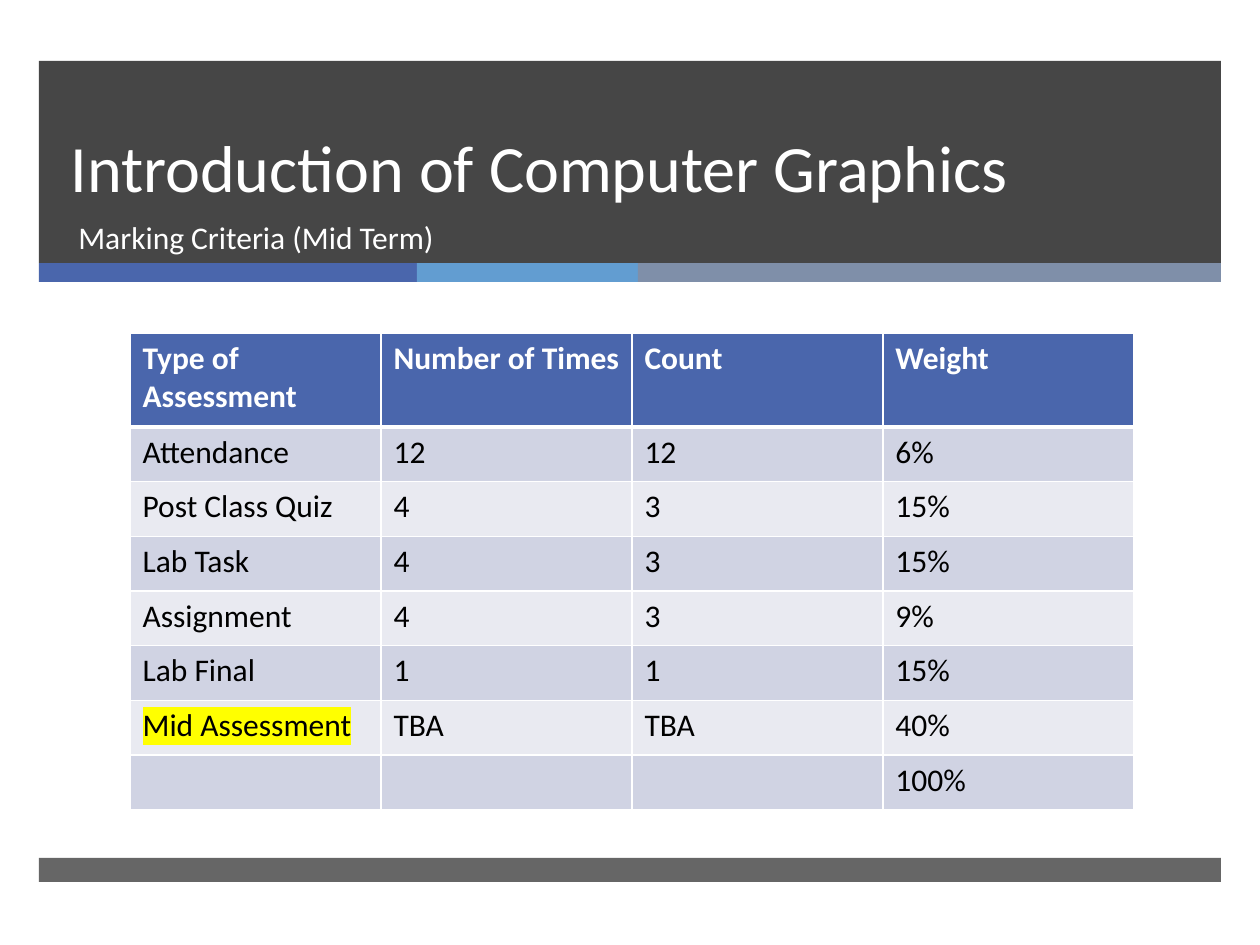
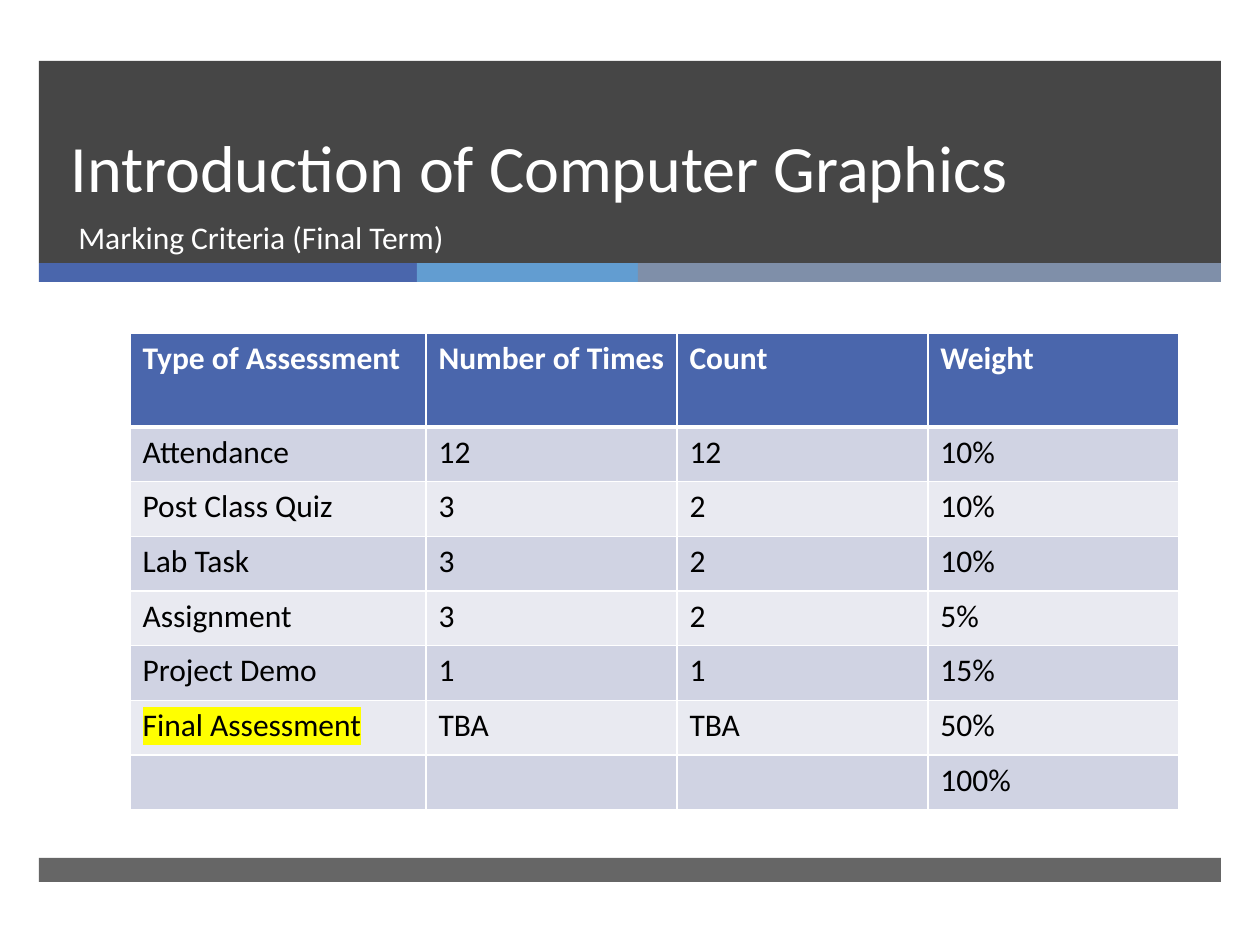
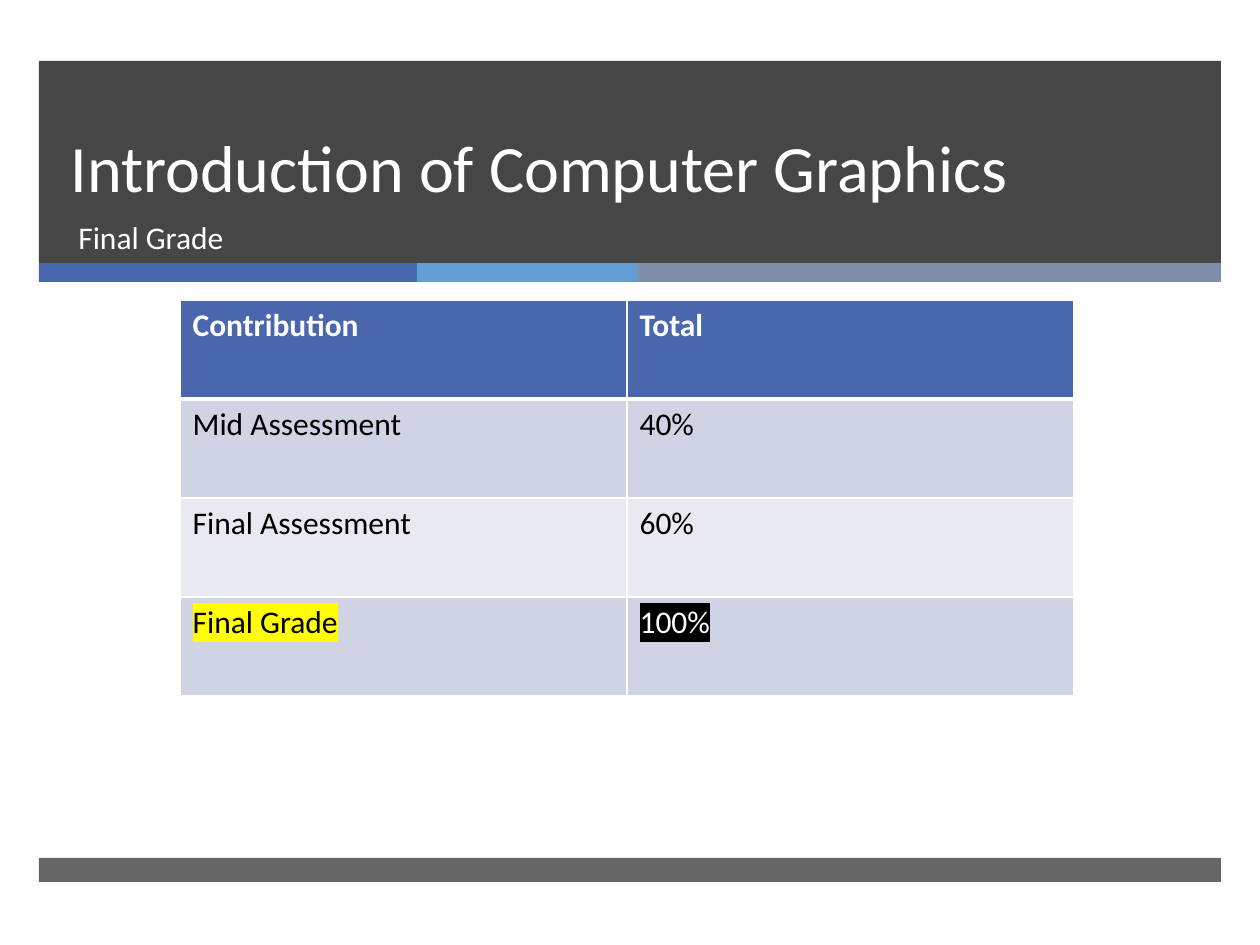
"""Build three slides of marking criteria for a computer graphics course."""
from dataclasses import dataclass, field
from typing import Any

from lxml import etree
from pptx import Presentation
from pptx import util as u
from pptx.dml.color import RGBColor
from pptx.enum import shapes, text
from pptx.oxml.ns import qn

SCALE = 914400 / 126
SLIDE_SIZE = (1260, 945)
FONT = "Calibri"
COLOURS = {
    "charcoal": "262626",
    "blue": "4A66AC",
    "sky": "629DD1",
    "slate": "7F8FA9",
    "band_dark": "D0D3E3",
    "band_light": "E9EAF1",
    "white": "FFFFFF",
    "black": "000000",
    "yellow": "FFFF00",
}
COURSE = "Introduction of Computer Graphics"
CRITERIA_HEADER = ("Type of Assessment", "Number of Times", "Count", "Weight")


@dataclass(frozen=True)
class Band:
    left: int
    top: int
    width: int
    height: int
    colour: str
    opacity: int = 100


@dataclass(frozen=True)
class TextBox:
    left: int
    top: int
    width: int
    height: int
    size: float
    anchor: text.MSO_ANCHOR
    paragraph: dict[str, Any] = field(default_factory=dict)


@dataclass(frozen=True)
class Mark:
    background: str
    colour: str = "black"


@dataclass(frozen=True)
class Grid:
    left: int
    top: int
    columns: tuple[int, ...]
    header_height: int
    body_height: int
    rows: tuple[tuple[str, ...], ...]
    marks: dict[str, Mark]


@dataclass(frozen=True)
class Page:
    subtitle: str
    grid: Grid


BANDS = (
    Band(39, 61, 1182, 202, "charcoal", 85),
    Band(39, 263, 378, 19, "blue"),
    Band(417, 263, 221, 19, "sky"),
    Band(638, 263, 583, 19, "slate"),
    Band(39, 858, 1182, 24, "charcoal", 70),
)
TITLE = TextBox(58, 61, 1076, 151, 37.8, text.MSO_ANCHOR.BOTTOM, {"line_spacing": u.Pt(46)})
SUBTITLE = TextBox(66, 212, 1068, 67, 18, text.MSO_ANCHOR.TOP)


def criteria(first_column: int, assessment: str, rows: tuple[tuple[str, ...], ...]) -> Grid:
    """Return a grid of weighted assessments that ends with the total."""
    return Grid(130, 333, (first_column, 251, 251, 251), 94, 383,
                (CRITERIA_HEADER, *rows, ("", "", "", "100%")),
                {assessment: Mark("yellow")})


PAGES = (
    Page("Marking Criteria (Mid Term)", criteria(251, "Mid Assessment", (
        ("Attendance", "12", "12", "6%"),
        ("Post Class Quiz", "4", "3", "15%"),
        ("Lab Task", "4", "3", "15%"),
        ("Assignment", "4", "3", "9%"),
        ("Lab Final", "1", "1", "15%"),
        ("Mid Assessment", "TBA", "TBA", "40%"),
    ))),
    Page("Marking Criteria (Final Term)", criteria(296, "Final Assessment", (
        ("Attendance", "12", "12", "10%"),
        ("Post Class Quiz", "3", "2", "10%"),
        ("Lab Task", "3", "2", "10%"),
        ("Assignment", "3", "2", "5%"),
        ("Project Demo", "1", "1", "15%"),
        ("Final Assessment", "TBA", "TBA", "50%"),
    ))),
    Page("Final Grade", Grid(180, 300, (447, 447), 99, 297, (
        ("Contribution", "Total"),
        ("Mid Assessment", "40%"),
        ("Final Assessment", "60%"),
        ("Final Grade", "100%"),
    ), {"Final Grade": Mark("yellow"), "100%": Mark("black", "white")})),
)


def emu(pixels: float) -> u.Emu:
    """Turn pixels into EMU."""
    return u.Emu(round(pixels * SCALE))


def rgb(name: str) -> RGBColor:
    """Return a named colour."""
    return RGBColor.from_string(COLOURS[name])


def apply(target: Any, values: dict[str, Any]) -> None:
    """Set every attribute in a dict of format values."""
    for name, value in values.items():
        setattr(target, name, value)


def add_colour(parent: Any, name: str) -> None:
    """Append a named colour to an XML element."""
    etree.SubElement(parent, qn("a:srgbClr"), val=COLOURS[name])


def write(paragraph: Any, words: str, size: float, colour: str, bold: bool = False) -> Any:
    """Add one formatted run to a paragraph."""
    run = paragraph.add_run()
    run.text = words
    apply(run.font, {"name": FONT, "size": u.Pt(size), "bold": bold})
    run.font.color.rgb = rgb(colour)
    return run


def highlight(run: Any, colour: str) -> None:
    """Mark a run with a background colour."""
    element = etree.Element(qn("a:highlight"))
    add_colour(element, colour)
    run.font.fill._xPr.find(qn("a:solidFill")).addnext(element)


def draw_band(slide: Any, band: Band) -> None:
    """Draw a plain coloured rectangle."""
    shape = slide.shapes.add_shape(shapes.MSO_SHAPE.RECTANGLE, emu(band.left), emu(band.top),
                                   emu(band.width), emu(band.height))
    shape.shadow.inherit = False
    shape.fill.solid()
    shape.fill.fore_color.rgb = rgb(band.colour)
    shape.line.fill.background()
    if band.opacity < 100:
        colour = shape.fill._xPr.find(qn("a:solidFill"))[0]
        etree.SubElement(colour, qn("a:alpha"), val=str(band.opacity * 1000))


def draw_text(slide: Any, box: TextBox, words: str) -> None:
    """Draw a line of white text in a box."""
    shape = slide.shapes.add_textbox(emu(box.left), emu(box.top), emu(box.width), emu(box.height))
    apply(shape.text_frame, {"word_wrap": True, "vertical_anchor": box.anchor})
    paragraph = shape.text_frame.paragraphs[0]
    apply(paragraph, box.paragraph)
    write(paragraph, words, box.size, "white")


def draw_borders(cell: Any, widths: dict[str, int]) -> None:
    """Give a cell white borders with widths in points."""
    properties = cell._tc.get_or_add_tcPr()
    for index, (side, width) in enumerate(widths.items()):
        line = etree.Element(qn(f"a:ln{side}"), w=str(u.Pt(width)))
        add_colour(etree.SubElement(line, qn("a:solidFill")), "white")
        properties.insert(index, line)


def draw_cell(cell: Any, words: str, row: int, mark: Mark | None) -> None:
    """Fill, border and write one table cell."""
    header = row == 0
    band = "band_dark" if row % 2 else "band_light"
    cell.fill.solid()
    cell.fill.fore_color.rgb = rgb("blue" if header else band)
    draw_borders(cell, {"L": 1, "R": 1, "T": 3 if row == 1 else 1, "B": 3 if header else 1})
    if words:
        colour = "white" if header else mark.colour if mark else "black"
        run = write(cell.text_frame.paragraphs[0], words, 18, colour, header)
        if mark:
            highlight(run, mark.background)


def draw_grid(slide: Any, grid: Grid) -> None:
    """Draw a table with a header row and equal body rows."""
    frame = slide.shapes.add_table(len(grid.rows), len(grid.columns), emu(grid.left), emu(grid.top),
                                   emu(sum(grid.columns)),
                                   emu(grid.header_height + grid.body_height))
    table = frame.table
    for column, width in zip(table.columns, grid.columns):
        column.width = emu(width)
    row_height = grid.body_height / (len(grid.rows) - 1)
    for index, values in enumerate(grid.rows):
        table.rows[index].height = emu(row_height if index else grid.header_height)
        for position, words in enumerate(values):
            draw_cell(table.cell(index, position), words, index, grid.marks.get(words))


def draw_page(presentation: Any, page: Page) -> None:
    """Add one slide with the shared bands, its titles and its table."""
    slide = presentation.slides.add_slide(presentation.slide_layouts[6])
    for band in BANDS:
        draw_band(slide, band)
    draw_text(slide, TITLE, COURSE)
    draw_text(slide, SUBTITLE, page.subtitle)
    draw_grid(slide, page.grid)


def main() -> None:
    """Build and save the presentation."""
    presentation = Presentation()
    width, height = SLIDE_SIZE
    apply(presentation, {"slide_width": emu(width), "slide_height": emu(height)})
    for page in PAGES:
        draw_page(presentation, page)
    presentation.save("out.pptx")


main()
